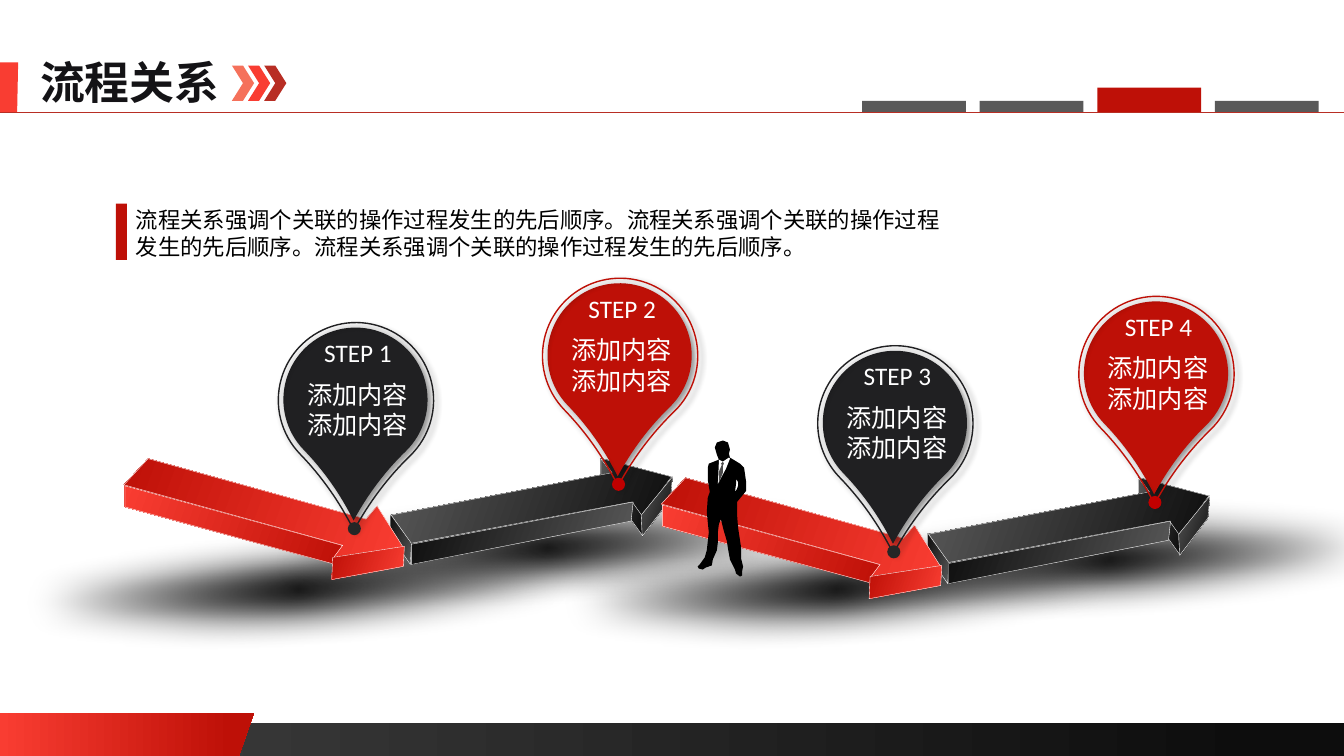
from lxml.etree import SubElement
from pptx import Presentation
from pptx.dml.color import RGBColor
from pptx.enum.shapes import MSO_CONNECTOR, MSO_SHAPE
from pptx.enum.text import MSO_ANCHOR, PP_ALIGN
from pptx.oxml.ns import qn
from pptx.util import Cm, Pt

# Content; places and sizes are in inches
TITLE = "流程关系"
INTRO = ["流程关系强调个关联的操作过程发生的先后顺序。流程关系强调个关联的操作过程",
         "发生的先后顺序。流程关系强调个关联的操作过程发生的先后顺序。"]
STEP_LINES = ["添加内容", "添加内容"]
DARK, RED, BRIGHT = "202022", "BE1007", "F93D32"
STEPS = [  # label, left, top, drop colour, dot colour
    ("STEP 1", 2.76, 3.2, DARK, "262626"),
    ("STEP 2", 5.38, 2.76, RED, "C00000"),
    ("STEP 3", 8.11, 3.43, DARK, "262626"),
    ("STEP 4", 10.7, 2.94, RED, "C00000"),
]
CJK, LATIN = "Noto Sans CJK SC", "Calibri"

# Arrow faces: first colour, last colour, outline
GREY, BLACK = "595959", "0D0D0D"
ARROW_FACES = [
    (GREY, BLACK, [(3.87, 5.1), (3.87, 5.31), (4.07, 5.6), (4.08, 5.39)]),
    (BLACK, GREY, [(5.96, 4.55), (5.96, 4.74), (6.37, 5.31), (6.37, 5.11)]),
    (BLACK, GREY, [(3.88, 5.11), (4.08, 5.39), (6.27, 4.98), (6.37, 5.12),
                   (6.66, 4.73), (5.97, 4.55), (6.07, 4.69)]),
    (GREY, BLACK, [(4.08, 5.6), (6.26, 5.17), (6.28, 4.98), (4.08, 5.4)]),
    (BLACK, GREY, [(6.67, 4.73), (6.65, 4.95), (6.37, 5.32), (6.36, 5.11)]),
    (RED, BRIGHT, [(1.24, 4.82), (1.24, 5.03), (3.4, 5.62), (3.39, 5.41)]),
    (BRIGHT, RED, [(1.23, 4.81), (1.47, 4.55), (3.63, 5.15), (3.74, 5.02),
                   (4, 5.43), (3.31, 5.53), (3.4, 5.41)]),
    (BRIGHT, RED, [(3.3, 5.53), (3.29, 5.75), (4, 5.62), (4.01, 5.42)]),
]
ARROW_SHIFTS = [(0, 0), (5.33, 0.19)]
FLOOR_SHADOWS = [(-0.54, 5.25), (1.93, 4.84), (4.79, 5.25), (7.5, 4.95)]

# Standing man: colour, then one or more outlines
MAN = [
    ("000000", [
        [(7.15, 5.15), (7.13, 5.2), (7.12, 5.28), (7.12, 5.38), (7.11, 5.46), (7.07, 5.55),
         (7.06, 5.61), (7, 5.63), (6.97, 5.65), (6.93, 5.64), (6.92, 5.62), (6.94, 5.6),
         (6.99, 5.53), (7.01, 5.46), (7.03, 5.28), (7.01, 5.08), (7.02, 4.94), (7.04, 4.88),
         (7.02, 4.76), (7.02, 4.64), (7.03, 4.6), (7.13, 4.56), (7.11, 4.51), (7.09, 4.44),
         (7.11, 4.39), (7.17, 4.37), (7.22, 4.39), (7.24, 4.46), (7.23, 4.5), (7.24, 4.54),
         (7.34, 4.6), (7.38, 4.64), (7.4, 4.78), (7.4, 4.87), (7.31, 4.98), (7.31, 5.1),
         (7.32, 5.23), (7.35, 5.43), (7.35, 5.54), (7.37, 5.62), (7.36, 5.67), (7.36, 5.71),
         (7.34, 5.72), (7.3, 5.69), (7.29, 5.65), (7.24, 5.55), (7.22, 5.44), (7.21, 5.37),
         (7.18, 5.27)],
        [(7.29, 4.88), (7.31, 4.85), (7.32, 4.82), (7.32, 4.78), (7.3, 4.75), (7.3, 4.8)],
    ]),
    ("FFFFFF", [[(7.12, 4.8), (7.2, 4.65), (7.24, 4.55), (7.23, 4.54), (7.17, 4.58),
                 (7.13, 4.56), (7.13, 4.58)]]),
    ("4E4D4D", [[(7.18, 4.6), (7.17, 4.58), (7.15, 4.6), (7.16, 4.61), (7.13, 4.68),
                 (7.13, 4.79), (7.17, 4.69), (7.17, 4.62)]]),
]


def length(inches):
    return Cm(inches * 2.54)


def rgb(value):
    return RGBColor.from_string(value)


def add_color(parent, value, alpha=100):
    color = SubElement(parent, qn("a:srgbClr"), val=value)
    if alpha < 100:
        SubElement(color, qn("a:alpha"), val=str(alpha * 1000))


def set_gradient(shape, stops, angle=None):
    """Linear gradient, or one from the centre when no angle is given."""
    shape.fill.background()
    empty = shape._element.spPr.find(qn("a:noFill"))
    gradient = empty.makeelement(qn("a:gradFill"), {"rotWithShape": "1"})
    empty.getparent().replace(empty, gradient)
    stop_list = SubElement(gradient, qn("a:gsLst"))
    for place, value, alpha in stops:
        add_color(SubElement(stop_list, qn("a:gs"), pos=str(place * 1000)), value, alpha)
    if angle is None:
        way = SubElement(gradient, qn("a:path"), path="circle")
        SubElement(way, qn("a:fillToRect"), l="50000", t="50000", r="50000", b="50000")
    else:
        SubElement(gradient, qn("a:lin"), ang=str(angle * 60000), scaled="0")


def style(shape, fill=None, line=None, width=1):
    shape.shadow.inherit = False
    if fill:
        shape.fill.solid()
        shape.fill.fore_color.rgb = rgb(fill)
    else:
        shape.fill.background()
    if line:
        shape.line.color.rgb = rgb(line)
        shape.line.width = Pt(width)
    else:
        shape.line.fill.background()
    return shape


def add_preset(kind, left, top, width, height, fill=None, line=None):
    shape = page.shapes.add_shape(kind, *map(length, (left, top, width, height)))
    return style(shape, fill, line)


def add_outline(outlines, fill=None, line=None, width=1, shift=(0, 0)):
    moved = [[(length(x + shift[0]), length(y + shift[1])) for x, y in outline]
             for outline in outlines]
    builder = page.shapes.build_freeform(*moved[0][0])
    for number, points in enumerate(moved):
        if number:
            builder.move_to(*points[0])
        builder.add_line_segments(points[1:], close=True)
    return style(builder.convert_to_shape(), fill, line, width)


def add_text(lines, left, top, width, height, size, font, color, bold=False,
             align=PP_ALIGN.LEFT):
    box = page.shapes.add_textbox(*map(length, (left, top, width, height)))
    frame = box.text_frame
    frame.word_wrap = False
    frame.vertical_anchor = MSO_ANCHOR.TOP
    for number, line in enumerate(lines):
        para = frame.add_paragraph() if number else frame.paragraphs[0]
        para.text = line
        para.alignment = align
        para.font.size, para.font.bold, para.font.name = Pt(size), bold, font
        para.font.color.rgb = rgb(color)
        SubElement(para.font._element, qn("a:ea"), typeface=font)


def add_drop(left, top, size, fill=None, line=None):
    drop = add_preset(MSO_SHAPE.TEAR, left, top, size, size, fill, line)
    drop.adjustments[0] = 1.186
    drop.rotation = 135.9
    effects = drop._element.spPr.find(qn("a:effectLst"))
    shadow = SubElement(effects, qn("a:outerShdw"), blurRad=str(Pt(4)), dist=str(Pt(3)),
                        dir=str(45 * 60000), algn="tl", rotWithShape="0")
    add_color(shadow, "000000", 40)


deck = Presentation()
deck.slide_width, deck.slide_height = length(13.33), length(7.5)
page = deck.slides.add_slide(deck.slide_layouts[6])

# Footer band and title mark
footer = add_preset(MSO_SHAPE.RECTANGLE, 0, 7.17, 13.33, 0.33)
set_gradient(footer, [(0, "404040", 100), (94, BLACK, 100)], 0)
corner = add_outline([[(0, 7.07), (2.52, 7.07), (2.37, 7.5), (0, 7.5)]])
set_gradient(corner, [(0, BRIGHT, 100), (91, RED, 100)], 0)
add_outline([[(0, 0.62), (0.18, 0.62), (0.17, 1.12), (0, 1.12)]], BRIGHT)

# Soft shadows on the floor
for left, top in FLOOR_SHADOWS:
    blot = add_preset(MSO_SHAPE.OVAL, left, top, 7.01, 1.19)
    blot.rotation = 357.3
    set_gradient(blot, [(0, "000000", 100), (100, "000000", 0)])
    SubElement(blot._element.spPr.find(qn("a:effectLst")), qn("a:softEdge"),
               rad=str(length(0.35)))

# Header
add_text([TITLE], 0.3, 0.49, 2, 0.64, 32, CJK, "141316", bold=True)
rule = page.shapes.add_connector(MSO_CONNECTOR.STRAIGHT, 0, length(1.11),
                                 length(13.33), length(1.11))
rule.line.color.rgb = rgb("B82E24")
rule.line.width = Pt(0.5)
SubElement(rule._element.spPr, qn("a:effectLst"))
for number, color in enumerate(["F5715B", BRIGHT, "B82E24"]):
    add_preset(MSO_SHAPE.CHEVRON, 2.3 + 0.16 * number, 0.65, 0.22, 0.35, color)
for number, (height, color) in enumerate([(0.11, GREY), (0.11, GREY), (0.24, RED), (0.11, GREY)]):
    add_preset(MSO_SHAPE.RECTANGLE, 8.55 + 3.5 / 3 * number, 1.11 - height, 1.03, height, color)

# Arrows and man
for shift in ARROW_SHIFTS:
    for first, last, outline in ARROW_FACES:
        face = add_outline([outline], line="FFFFFF", width=0.25, shift=shift)
        set_gradient(face, [(0, first, 100), (100, last, 100)], 200)
for color, outlines in MAN:
    add_outline(outlines, color)

# Introduction
add_preset(MSO_SHAPE.RECTANGLE, 1.15, 2.02, 0.11, 0.56, RED)
add_text(INTRO, 1.25, 2, 8.28, 0.64, 16, CJK, "000000")

# Step pins
for label, left, top, color, dot in STEPS:
    add_drop(left + 0.05, top + 0.05, 1.43, fill=color)
    add_text([label], left + 0.35, top + 0.1, 0.88, 0.4, 18, LATIN, "FFFFFF",
             align=PP_ALIGN.CENTER)
    add_text(STEP_LINES, left + 0.18, top + 0.51, 1.21, 0.71, 18, CJK, "FFFFFF",
             align=PP_ALIGN.CENTER)
    add_drop(left, top, 1.54, line=color)
    add_preset(MSO_SHAPE.OVAL, left + 0.69, top + 1.98, 0.13, 0.13, dot)

deck.save("out.pptx")
